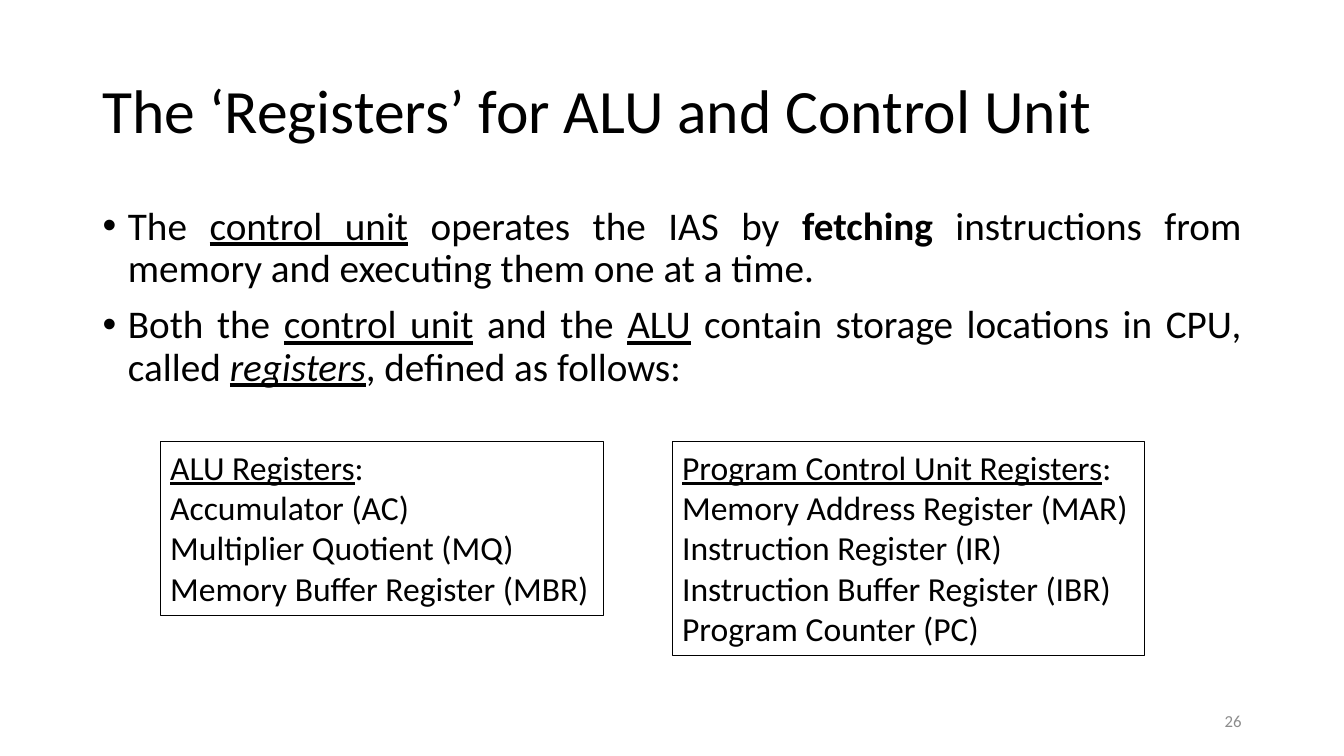
from dataclasses import dataclass

from pptx import Presentation
from pptx.dml.color import RGBColor
from pptx.enum.text import MSO_ANCHOR, MSO_AUTO_SIZE, PP_ALIGN
from pptx.util import Cm, Pt


@dataclass(frozen=True)
class Theme:
    font: str = "Calibri"
    ink: RGBColor = RGBColor(0, 0, 0)
    muted: RGBColor = RGBColor(0x8C, 0x8C, 0x8C)
    title: int = 44
    body: int = 28
    register: int = 24
    page: int = 12


THEME = Theme()

# Content: each run is (text, style letters), with b, i and u for bold, italic and underline
TITLE = "The ‘Registers’ for ALU and Control Unit"
BULLETS = [
    [("The ", ""), ("control unit", "u"), (" operates the IAS by ", ""), ("fetching", "b"),
     (" instructions from memory and executing them one at a time.", "")],
    [("Both the ", ""), ("control unit", "u"), (" and the ", ""), ("ALU", "u"),
     (" contain storage locations in CPU, called ", ""), ("registers", "iu"),
     (", defined as follows:", "")],
]
REGISTER_GROUPS = [
    {"heading": "ALU Registers", "left": 4.04, "width": 11.18,
     "registers": ["Accumulator (AC)", "Multiplier Quotient (MQ)",
                   "Memory Buffer Register (MBR)"]},
    {"heading": "Program Control Unit Registers", "left": 16.94, "width": 11.91,
     "registers": ["Memory Address Register (MAR)", "Instruction Register (IR)",
                   "Instruction Buffer Register (IBR)", "Program Counter (PC)"]},
]
PAGE = "26"

# Layout in cm
MARGIN, CONTENT_WIDTH = 2.33, 29.21
GROUP_TOP, REGISTER_LINE, GROUP_PADDING = 11.13, 1.02, 0.3
BULLET_INDENT = Cm(0.64)


def place(shape, left, top, width, height):
    shape.left, shape.top = Cm(left), Cm(top)
    shape.width, shape.height = Cm(width), Cm(height)


def write(frame, lines, size, color=THEME.ink, align=PP_ALIGN.LEFT):
    frame.word_wrap = True
    frame.auto_size = MSO_AUTO_SIZE.NONE
    for index, line in enumerate(lines):
        paragraph = frame.add_paragraph() if index else frame.paragraphs[0]
        paragraph.alignment = align
        font = paragraph.font
        font.name, font.size, font.color.rgb = THEME.font, Pt(size), color
        for text, style in line:
            run = paragraph.add_run()
            run.text = text
            for letter, attribute in (("b", "bold"), ("i", "italic"), ("u", "underline")):
                if letter in style:
                    setattr(run.font, attribute, True)


deck = Presentation()
deck.slide_width, deck.slide_height = Cm(33.87), Cm(19.05)
slide = deck.slides.add_slide(deck.slide_layouts[1])

# Title
title = slide.shapes.title
place(title, MARGIN, 1.01, CONTENT_WIDTH, 3.68)
write(title.text_frame, [[(TITLE, "")]], THEME.title)
title.text_frame.vertical_anchor = MSO_ANCHOR.MIDDLE
title.text_frame.paragraphs[0].line_spacing = 0.9

# Bullets
body = slide.placeholders[1]
place(body, MARGIN, 5.07, CONTENT_WIDTH, 12.09)
write(body.text_frame, BULLETS, THEME.body, align=PP_ALIGN.JUSTIFY)
for bullet in body.text_frame.paragraphs:
    bullet.line_spacing = 0.9
    bullet.space_before = Pt(10)
    properties = bullet._p.get_or_add_pPr()
    properties.set("marL", str(BULLET_INDENT))
    properties.set("indent", str(-BULLET_INDENT))

# Register groups
for group in REGISTER_GROUPS:
    lines = [[(group["heading"], "u"), (":", "")]]
    lines += [[(register, "")] for register in group["registers"]]
    height = len(lines) * REGISTER_LINE + GROUP_PADDING
    box = slide.shapes.add_textbox(Cm(group["left"]), Cm(GROUP_TOP), Cm(group["width"]), Cm(height))
    box.line.color.rgb = THEME.ink
    box.line.width = Pt(0.75)
    write(box.text_frame, lines, THEME.register)

# Page number
page = slide.shapes.add_textbox(Cm(23.92), Cm(17.66), Cm(7.62), Cm(1.01))
write(page.text_frame, [[(PAGE, "")]], THEME.page, THEME.muted, PP_ALIGN.RIGHT)
page.text_frame.vertical_anchor = MSO_ANCHOR.MIDDLE

deck.save("out.pptx")
